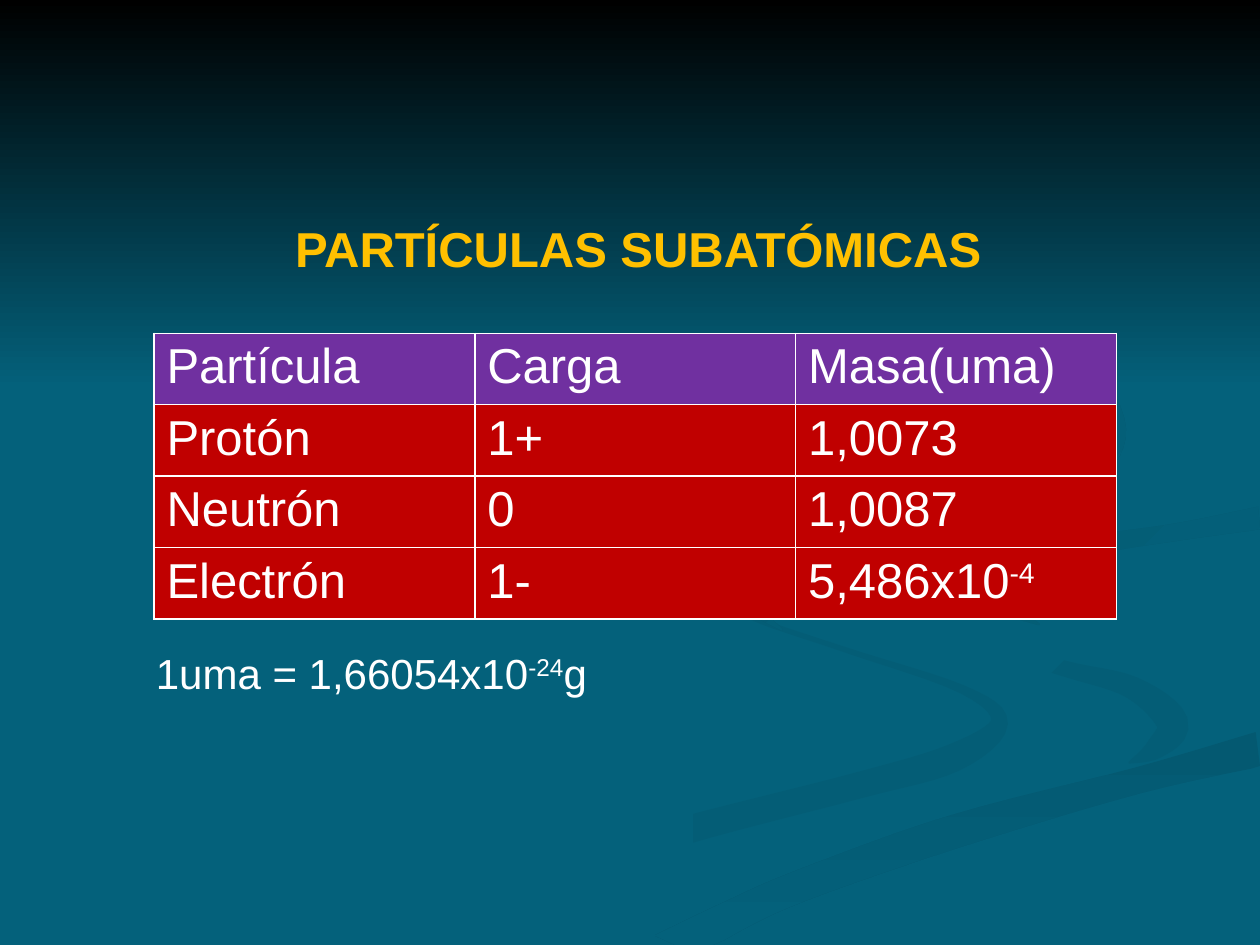
"""Build the slide on the subatomic particles, their charge and mass."""
import math

from lxml import etree
from pptx import Presentation
from pptx.dml.color import RGBColor
from pptx.enum import shapes, text
from pptx.oxml import ns
from pptx.util import Pt

TEAL = RGBColor(0x04, 0x61, 0x7B)
DARK_TEAL = RGBColor(0x04, 0x5D, 0x76)
DEEP_TEAL = RGBColor(0x04, 0x59, 0x71)
MID_TEAL = RGBColor(0x04, 0x5C, 0x74)
DIM_TEAL = RGBColor(0x04, 0x5A, 0x72)
BLACK = RGBColor(0, 0, 0)
WHITE = RGBColor(0xFF, 0xFF, 0xFF)
GOLD = RGBColor(0xFF, 0xC0, 0x00)
PURPLE = RGBColor(0x70, 0x30, 0xA0)
RED = RGBColor(0xC0, 0x00, 0x00)

SLIDE_WIDTH, SLIDE_HEIGHT = 720, 540
RIGHTWARD, DOWNWARD, DIAGONAL = 0, 270, 315
CURVE_STEPS = 6

PARTICLES = [
    ["Partícula", "Carga", "Masa(uma)"],
    ["Protón", "1+", "1,0073"],
    ["Neutrón", "0", "1,0087"],
    ["Electrón", "1-", "5,486x10^-4^"],
]

RIBBONS = {
    "wide river": {
        "knots": [(720, 284, 10), (630, 298, 8), (545, 328, 40), (560, 352, 24),
                  (640, 378, 20), (698, 402, 30), (640, 438, 10), (500, 478, 8),
                  (353, 540, 20)],
        "colors": (TEAL, TEAL), "angle": RIGHTWARD},
    "lower bend": {
        "knots": [(412, 336, 2), (428, 352, 3), (482, 371, 3), (550, 394, 5),
                  (571, 413, 10), (545, 433, 16), (490, 449, 15), (390, 475, 16),
                  (330, 495, 20), (220, 548, 20)],
        "colors": (TEAL, DARK_TEAL), "angle": RIGHTWARD},
    "right bend": {
        "knots": [(521, 335, 1), (530, 352, 4), (555, 366, 8), (608, 382, 9),
                  (647, 393, 13), (670, 413, 18), (660, 428, 12), (645, 436, 1)],
        "colors": (TEAL, DARK_TEAL), "angle": DIAGONAL},
    "lower sweep": {
        "knots": [(720, 428, 20), (650, 446, 15), (546, 475, 19), (458, 506, 18),
                  (416, 525, 19), (380, 545, 24)],
        "colors": (DEEP_TEAL, TEAL), "angle": DOWNWARD},
    "upper sweep": {
        "knots": [(720, 296, 13), (673, 304, 10), (627, 311, 11), (592, 320, 14),
                  (572, 336, 16), (578, 348, 8), (594, 357, 1)],
        "colors": (MID_TEAL, TEAL), "angle": DIAGONAL},
    "upper bend": {
        "knots": [(550, 168, 1), (594, 190, 3), (625, 212, 5), (641, 245, 5),
                  (626, 269, 11), (592, 284, 12), (550, 294, 14), (500, 302, 14),
                  (446, 315, 11), (422, 333, 11), (427, 345, 8), (447, 360, 1)],
        "colors": (DIM_TEAL, TEAL), "angle": DIAGONAL},
}


def blend(before, start, end, after, t):
    """Return the Catmull-Rom value at t between start and end."""
    return 0.5 * (2 * start + (end - before) * t
                  + (2 * before - 5 * start + 4 * end - after) * t ** 2
                  + (3 * start - before - 3 * end + after) * t ** 3)


def smooth_spine(knots):
    """Return a dense smooth run of (x, y, width) through the knots."""
    padded = [knots[0], *knots, knots[-1]]
    spine = [
        tuple(blend(*values, step / CURVE_STEPS) for values in zip(*padded[i:i + 4]))
        for i in range(len(knots) - 1) for step in range(CURVE_STEPS)]
    return spine + [knots[-1]]


def ribbon_outline(knots):
    """Return both edges of a ribbon, offset from its spine and kept on the slide."""
    spine = smooth_spine(knots)
    edges = {1: [], -1: []}
    for i, (x, y, width) in enumerate(spine):
        before, after = spine[max(i - 1, 0)], spine[min(i + 1, len(spine) - 1)]
        heading = math.atan2(after[1] - before[1], after[0] - before[0])
        for side, edge in edges.items():
            edge_x = x - side * width / 2 * math.sin(heading)
            edge_y = y + side * width / 2 * math.cos(heading)
            edge.append((min(edge_x, SLIDE_WIDTH), min(edge_y, SLIDE_HEIGHT)))
    return edges[1] + edges[-1][::-1]


def shade(area, colors, angle):
    """Give an area a two-colour gradient without line or shadow."""
    area.shadow.inherit = False
    area.line.fill.background()
    area.fill.gradient()
    area.fill.gradient_angle = angle
    for stop, color in zip(area.fill.gradient_stops, colors):
        stop.color.rgb = color


def add_ribbon(slide, knots, colors, angle):
    """Draw one tapering ribbon of the backdrop."""
    outline = [(Pt(x), Pt(y)) for x, y in ribbon_outline(knots)]
    builder = slide.shapes.build_freeform(*outline[0])
    builder.add_line_segments(outline[1:], close=True)
    shade(builder.convert_to_shape(), colors, angle)


def add_sky(slide):
    """Darken the upper part of the slide towards its top edge."""
    sky = slide.shapes.add_shape(
        shapes.MSO_SHAPE.RECTANGLE, 0, 0, Pt(SLIDE_WIDTH), Pt(222))
    shade(sky, (BLACK, TEAL), DOWNWARD)


def write(frame, wording, size, color=WHITE, bold=False):
    """Fill a text frame, raising the parts enclosed in carets."""
    paragraph = frame.paragraphs[0]
    paragraph.alignment = text.PP_ALIGN.LEFT
    looks = {"name": "Arial", "size": Pt(size), "bold": bold}
    for index, part in enumerate(wording.split("^")):
        if not part:
            continue
        run = paragraph.add_run()
        run.text = part
        for key, value in looks.items():
            setattr(run.font, key, value)
        run.font.color.rgb = color
        if index % 2:
            run._r.get_or_add_rPr().set("baseline", "30000")


def add_borders(cell):
    """Put thin white lines on all sides of a cell."""
    properties = cell._tc.get_or_add_tcPr()
    for side in ("lnL", "lnR", "lnT", "lnB"):
        edge = etree.SubElement(properties, ns.qn(f"a:{side}"), w=str(Pt(1)))
        fill = etree.SubElement(edge, ns.qn("a:solidFill"))
        etree.SubElement(fill, ns.qn("a:srgbClr"), val=str(WHITE))


def add_particle_table(slide):
    """Add the table of particles with a purple heading row."""
    table = slide.shapes.add_table(
        len(PARTICLES), len(PARTICLES[0]), Pt(88), Pt(190.5), Pt(550), Pt(163.2)).table
    table.first_row = table.horz_banding = False
    for row, particle in enumerate(PARTICLES):
        for column, wording in enumerate(particle):
            cell = table.cell(row, column)
            add_borders(cell)
            cell.fill.solid()
            cell.fill.fore_color.rgb = RED if row else PURPLE
            write(cell.text_frame, wording, 28)


def add_title(slide):
    """Place the heading in front of the backdrop."""
    title = slide.shapes.title
    title.element.getparent().append(title.element)
    place = {"left": Pt(161.5), "top": Pt(121), "width": Pt(420), "height": Pt(41)}
    for key, value in place.items():
        setattr(title, key, value)
    write(title.text_frame, "PARTÍCULAS SUBATÓMICAS", 28, GOLD, True)


def add_unit_note(slide):
    """Add the mass of one atomic mass unit in grams."""
    note = slide.shapes.add_textbox(Pt(82), Pt(366.5), Pt(266.5), Pt(36.5))
    note.text_frame.word_wrap = False
    write(note.text_frame, "1uma = 1,66054x10^-24^g", 24)


def main():
    """Assemble and save the slide."""
    deck = Presentation()
    deck.slide_width, deck.slide_height = Pt(SLIDE_WIDTH), Pt(SLIDE_HEIGHT)
    slide = deck.slides.add_slide(deck.slide_layouts[5])
    slide.background.fill.solid()
    slide.background.fill.fore_color.rgb = TEAL
    for ribbon in RIBBONS.values():
        add_ribbon(slide, **ribbon)
    add_sky(slide)
    add_particle_table(slide)
    add_unit_note(slide)
    add_title(slide)
    deck.save("out.pptx")


if __name__ == "__main__":
    main()
